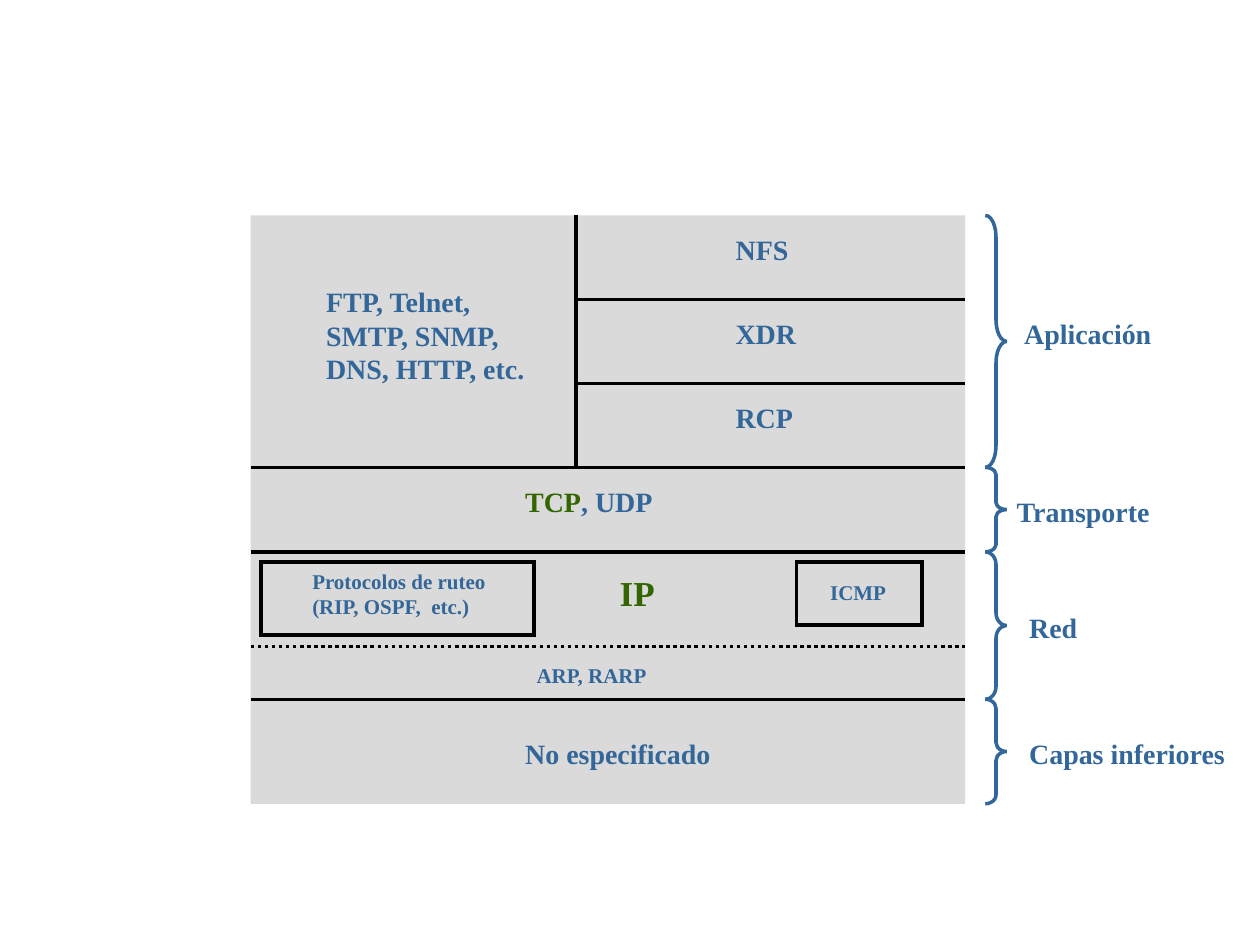
import pptx
import pptx.util
import pptx.dml.color
import pptx.enum.dml
import pptx.enum.shapes
import pptx.enum.text
import pptx.oxml

Inches = pptx.util.Inches
SHAPES = pptx.enum.shapes.MSO_SHAPE
BLACK, BLUE, GREEN, GREY = "000000", "336699", "336600", "DADADA"

STACK_BOX = (1.99, 1.71, 5.67, 4.67)
BRACE_BOX = (7.82, 1.71, 0.17, 4.67)
# Layer boundaries, measured down from the top of the stack
APPLICATION, TRANSPORT, NETWORK, LOWER = 0, 2, 2.67, 3.84


def colour(value):
    return pptx.dml.color.RGBColor.from_string(value)


def append_element(parent, tag, **attributes):
    parent.append(parent.makeelement(pptx.oxml.ns.qn(tag), attributes))


def add_outline(slide, kind, box, fill=None, line=None):
    shape = slide.shapes.add_shape(kind, *(Inches(n) for n in box))
    shape.shadow.inherit = False
    if fill:
        shape.fill.solid()
        shape.fill.fore_color.rgb = colour(fill)
    else:
        shape.fill.background()
    if line:
        shape.line.color.rgb = colour(line)
        shape.line.width = pptx.util.Pt(2)
        append_element(shape._element.spPr.ln, "a:miter", lim="800000")
    else:
        shape.line.fill.background()
    return shape


def add_rule(slide, start, end, dash=None):
    rule = slide.shapes.add_connector(
        pptx.enum.shapes.MSO_CONNECTOR.STRAIGHT,
        *(Inches(n) for n in (*start, *end)))
    rule.line.color.rgb = colour(BLACK)
    rule.line.width = pptx.util.Pt(2)
    if dash:
        rule.line.dash_style = dash
    append_element(rule._element.spPr, "a:effectLst")


def add_label(slide, box, *lines, size=16):
    """Each line is a list of (text, colour) runs, or a plain string in blue."""
    label = slide.shapes.add_textbox(*(Inches(n) for n in box))
    frame = label.text_frame
    frame.word_wrap = False
    frame.auto_size = pptx.enum.text.MSO_AUTO_SIZE.SHAPE_TO_FIT_TEXT
    for index, line in enumerate(lines):
        paragraph = frame.add_paragraph() if index else frame.paragraphs[0]
        for text, text_colour in [(line, BLUE)] if isinstance(line, str) else line:
            run = paragraph.add_run()
            run.text = text
            run.font.name = "Times New Roman"
            run.font.size = pptx.util.Pt(size)
            run.font.bold = True
            run.font.color.rgb = colour(text_colour)


def add_application_layer(slide, left, top, width, height):
    divider = left + 2.58
    row_height = height / 3
    add_rule(slide, (divider, top), (divider, top + height))
    protocols = (("NFS", 0.62), ("XDR", 0.7), ("RCP", 0.67))
    for row, (protocol, label_width) in enumerate(protocols):
        row_top = top + row * row_height
        if row:
            add_rule(slide, (divider, row_top), (left + width, row_top))
        add_label(slide, (left + 3.75, row_top + 0.09, label_width, 0.37), protocol)
    add_label(slide, (left + 0.5, top + 0.5, 1.8, 0.9),
              "FTP, Telnet,", "SMTP, SNMP,", "DNS, HTTP, etc.")


def add_network_layer(slide, left, top, width):
    inner_top = top + 0.08
    add_outline(slide, SHAPES.RECTANGLE, (left + 0.08, inner_top, 2.17, 0.58), line=BLACK)
    add_label(slide, (left + 0.39, inner_top, 1.58, 0.5),
              "Protocolos de ruteo", "(RIP, OSPF,  etc.)", size=12)
    add_label(slide, (left + 2.83, top + 0.11, 0.48, 0.43), [("IP", GREEN)], size=20)
    add_outline(slide, SHAPES.RECTANGLE, (left + 4.33, inner_top, 1, 0.5), line=BLACK)
    add_label(slide, (left + 4.5, top + 0.17, 0.65, 0.3), "ICMP", size=12)
    add_rule(slide, (left, top + 0.75), (left + width, top + 0.75),
             pptx.enum.dml.MSO_LINE.ROUND_DOT)
    add_label(slide, (left + 2.17, top + 0.83, 1.09, 0.3), "ARP, RARP", size=12)


def add_protocol_stack(slide, left, top, width, height):
    add_outline(slide, SHAPES.RECTANGLE, (left, top, width, height), fill=GREY)
    for boundary in (TRANSPORT, NETWORK, LOWER):
        add_rule(slide, (left, top + boundary), (left + width, top + boundary))
    add_application_layer(slide, left, top, width, TRANSPORT - APPLICATION)
    add_label(slide, (left + 2.08, top + TRANSPORT + 0.09, 1.21, 0.37),
              [("TCP", GREEN), (", UDP", BLUE)])
    add_network_layer(slide, left, top + NETWORK, width)
    add_label(slide, (left + 2.08, top + LOWER + 0.25, 1.68, 0.37), "No especificado")


def add_layer_braces(slide, left, top, width, height):
    layers = (
        ("Aplicación", APPLICATION, TRANSPORT, 0.21, 0.75, 1.22),
        ("Transporte", TRANSPORT, NETWORK, 0.15, 0.17, 1.28),
        ("Red", NETWORK, LOWER, 0.25, 0.42, 0.58),
        ("Capas inferiores", LOWER, height, 0.25, 0.25, 1.77),
    )
    for name, start, end, indent, drop, label_width in layers:
        brace = add_outline(slide, SHAPES.RIGHT_BRACE,
                            (left, top + start, width, end - start), line=BLUE)
        brace.adjustments[0] = (end - start) / 2
        brace.adjustments[1] = 0.5
        add_label(slide, (left + indent, top + start + drop, label_width, 0.37), name)


def main():
    presentation = pptx.Presentation()
    presentation.slide_width = Inches(10)
    presentation.slide_height = Inches(7.5)
    slide = presentation.slides.add_slide(presentation.slide_layouts[6])
    add_protocol_stack(slide, *STACK_BOX)
    add_layer_braces(slide, *BRACE_BOX)
    presentation.save("out.pptx")


if __name__ == "__main__":
    main()
